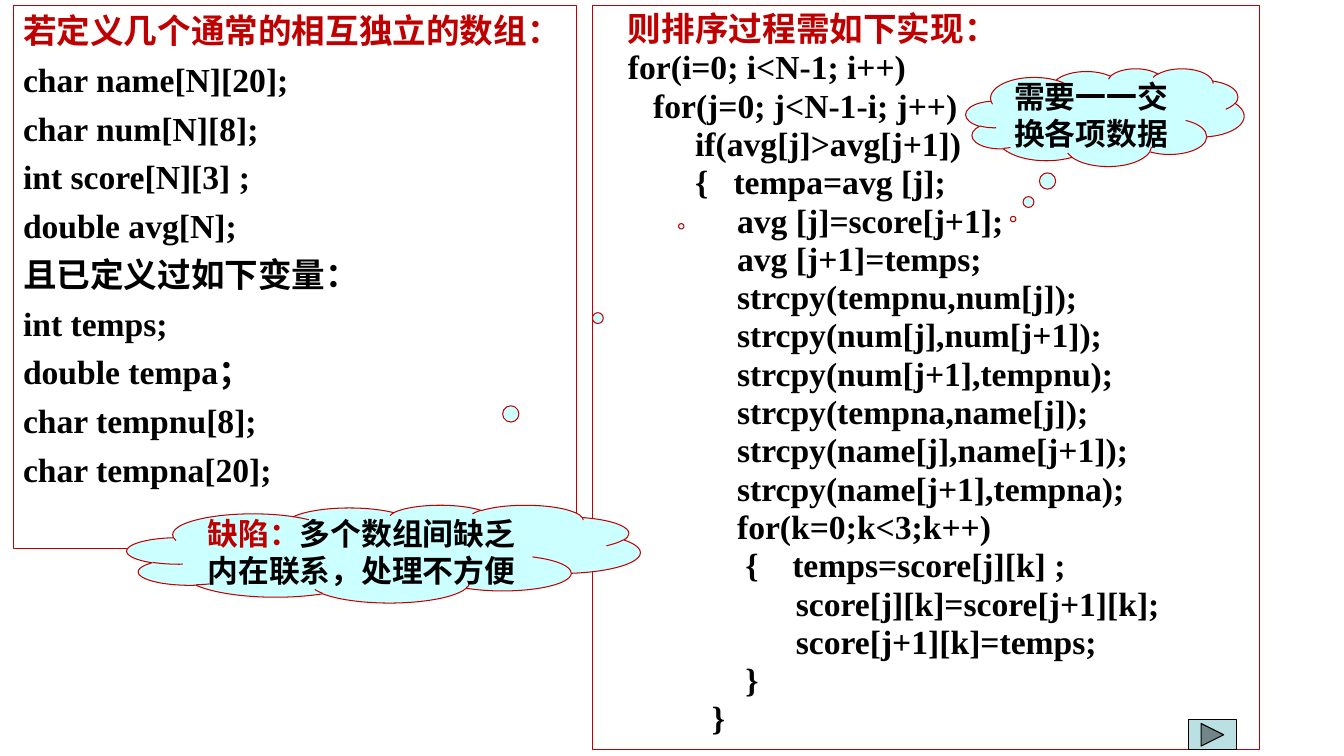
from dataclasses import dataclass

from lxml import etree
from pptx import Presentation
from pptx.dml.color import RGBColor
from pptx.enum.shapes import MSO_SHAPE as Preset
from pptx.enum.text import MSO_ANCHOR as Anchor, PP_ALIGN as Align
from pptx.oxml.ns import qn
from pptx.util import Inches, Pt


@dataclass(frozen=True)
class Theme:
    red: RGBColor = RGBColor(0xC0, 0x00, 0x00)
    black: RGBColor = RGBColor(0x00, 0x00, 0x00)
    cloud: RGBColor = RGBColor(0xCC, 0xFF, 0xFF)
    button: RGBColor = RGBColor(0xBB, 0xE0, 0xE3)
    chinese: str = "Noto Sans CJK SC"
    latin: str = "Times New Roman"
    code_size: float = 24
    note_size: float = 22
    line_factor: float = 1.2


theme = Theme()


def add_outlined(preset, box, line, fill=None):
    """Add a preset shape with a thin outline and left-aligned text room."""
    outlined = slide.shapes.add_shape(preset, *(Inches(v) for v in box))
    outlined.shadow.inherit = False
    outlined.line.color.rgb = line
    outlined.line.width = Pt(0.75)
    if fill is None:
        outlined.fill.background()
    else:
        outlined.fill.solid()
        outlined.fill.fore_color.rgb = fill
    outlined.text_frame.word_wrap = True
    return outlined


def style_run(run, size, color, face):
    run.font.size = Pt(size)
    run.font.bold = True
    run.font.color.rgb = color
    run.font.name = face
    east_asian = etree.SubElement(run.font._element, qn("a:ea"))
    east_asian.set("typeface", theme.chinese)


deck = Presentation()
deck.slide_width, deck.slide_height = Inches(13.33), Inches(7.5)
slide = deck.slides.add_slide(deck.slide_layouts[6])

# Code panels: declarations on the left, sorting on the right
declarations = """若定义几个通常的相互独立的数组：
char name[N][20];
char num[N][8];
int score[N][3] ;
double avg[N];
且已定义过如下变量：
int temps;
double tempa；
char tempnu[8];
char tempna[20];"""

sorting = """则排序过程需如下实现：
for(i=0; i<N-1; i++)
for(j=0; j<N-1-i; j++)
        if(avg[j]>avg[j+1])
        {   tempa=avg [j];
             avg [j]=score[j+1];
             avg [j+1]=temps;
             strcpy(tempnu,num[j]);
             strcpy(num[j],num[j+1]);
             strcpy(num[j+1],tempnu);
             strcpy(tempna,name[j]);
             strcpy(name[j],name[j+1]);
             strcpy(name[j+1],tempna);
             for(k=0;k<3;k++)
              {    temps=score[j][k] ;
                    score[j][k]=score[j+1][k];
                    score[j+1][k]=temps;
              }
          }"""

# box, text, alignment, first-line indent, line scale, space before
panels = [
    ((0.13, 0.05, 5.59, 5.39), declarations, Align.LEFT, 0, 1, 6),
    ((5.88, 0.05, 6.61, 7.39), sorting, Align.JUSTIFY, 0.25, 0.95, 0),
]
for box, text, alignment, indent, scale, gap in panels:
    panel = add_outlined(Preset.RECTANGLE, box, theme.red)
    panel.text_frame.vertical_anchor = Anchor.TOP
    panel.text_frame.text = text
    for index, code_line in enumerate(panel.text_frame.paragraphs):
        code_line.alignment = alignment
        code_line.line_spacing = Pt(theme.code_size * theme.line_factor * scale)
        code_line.space_before = Pt(gap if index else 0)
        # The inner loop header is indented one step further
        steps = 2 if code_line.text.startswith("for(j") else 1
        properties = code_line._p.get_or_add_pPr()
        properties.set("marL", "0")
        properties.set("indent", str(Inches(indent * steps)))
        is_chinese = code_line.text.endswith("：")
        style_run(
            code_line.runs[0],
            theme.code_size,
            theme.black if index else theme.red,
            theme.chinese if is_chinese else theme.latin,
        )

# Cloud remarks: box, pointer position, coloured pieces of text
remarks = [
    ((1.26, 5.01, 5.09, 0.97), (0.58, -3.35),
     [("缺陷：", theme.red), ("多个数组间缺乏内在联系，处理不方便", theme.black)]),
    ((9.58, 0.68, 2.76, 0.97), (-0.33, 1.04),
     [("需要一一交换各项数据", theme.black)]),
]
for box, pointer, pieces in remarks:
    cloud = add_outlined(Preset.CLOUD_CALLOUT, box, theme.red, theme.cloud)
    cloud.adjustments[0], cloud.adjustments[1] = pointer
    cloud.text_frame.vertical_anchor = Anchor.MIDDLE
    remark = cloud.text_frame.paragraphs[0]
    remark.alignment = Align.LEFT
    remark.line_spacing = Pt(theme.note_size * theme.line_factor)
    for words, color in pieces:
        run = remark.add_run()
        run.text = words
        style_run(run, theme.note_size, color, theme.chinese)

# Forward button
add_outlined(Preset.ACTION_BUTTON_FORWARD_OR_NEXT, (11.79, 7.14, 0.47, 0.3),
             theme.black, theme.button)

deck.save("out.pptx")
